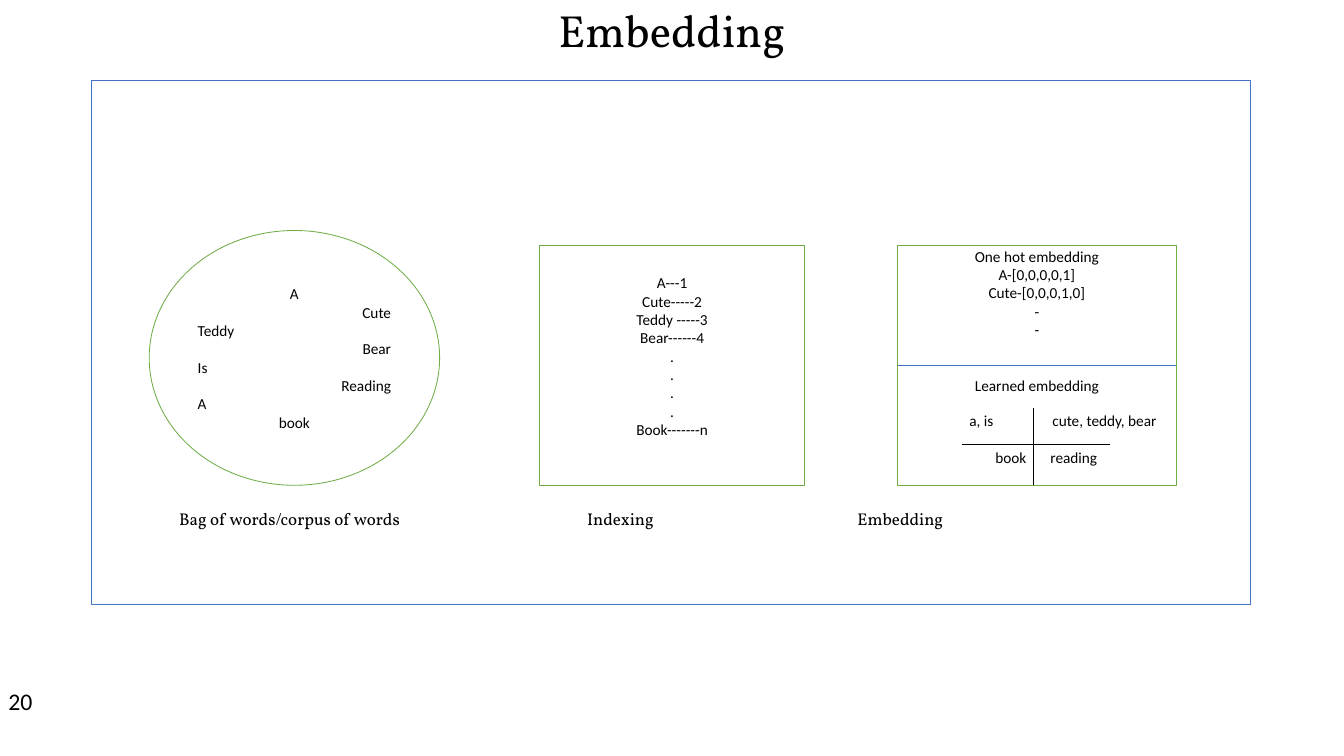
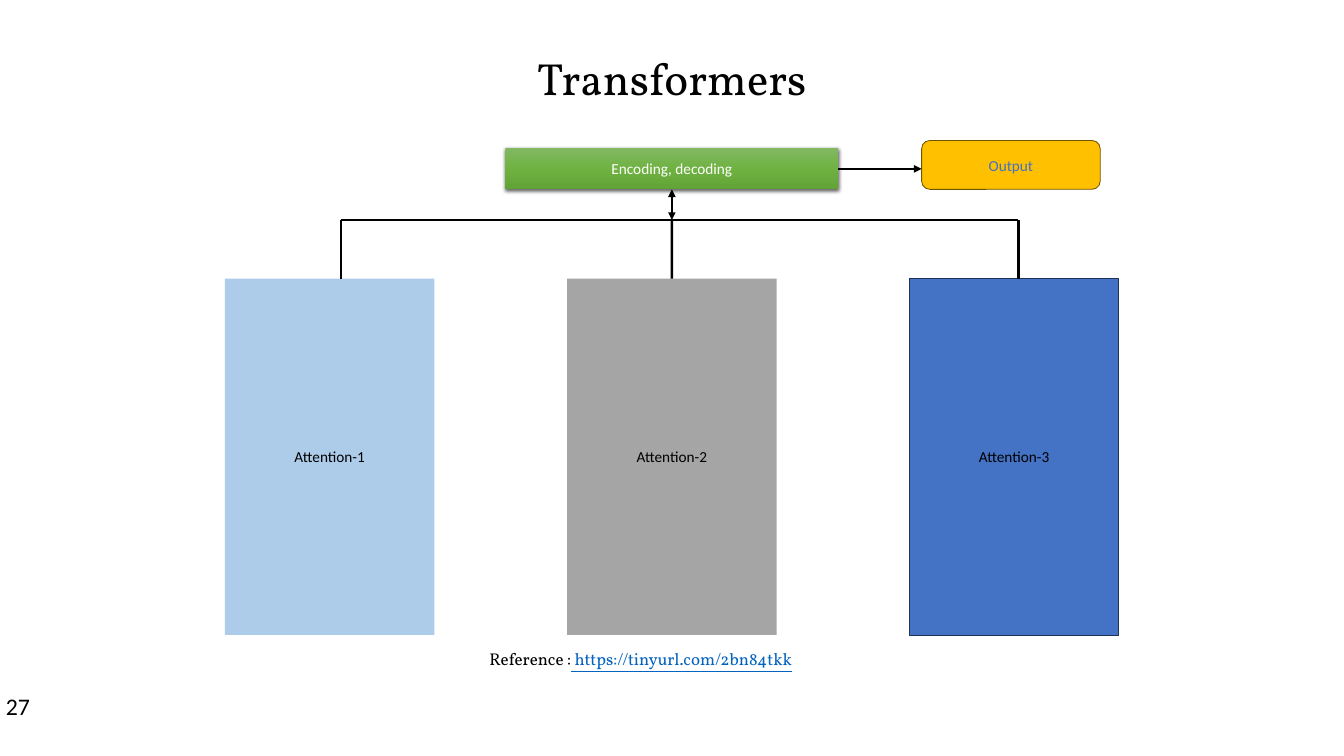
from pptx import Presentation
from pptx.util import Cm, Pt
from pptx.dml.color import RGBColor
from pptx.enum.shapes import MSO_SHAPE as Kind, MSO_CONNECTOR as Wire
from pptx.enum.text import PP_ALIGN as Al, MSO_ANCHOR as Anchor
from pptx.oxml import parse_xml
from pptx.oxml.ns import qn, nsdecls
from lxml.etree import SubElement as Sub

# Shared style
rgb = RGBColor.from_string
BLACK, WHITE, GREEN, BLUE = "000000", "FFFFFF", "70AD47", "4472C4"
SERIF = "Vollkorn"
TITLE = dict(size=53, font=SERIF, gap=0.9)
LABEL = dict(size=20, font=SERIF, align="l")
PAGE = dict(size=28, align="l", wrap=False)
SIDES = {"l": Al.LEFT, "c": Al.CENTER, "r": Al.RIGHT}


def put(slide, text, x, y, w, h, kind=None, fill=None, line=None, weight=1,
        size=18, font="Calibri", color=BLACK, align="c", gap=None,
        anchor=Anchor.MIDDLE, pad=(0.25, 0.13, 0.25, 0.13), wrap=True):
    """Add a shape, or a text box without kind; align has a letter per line."""
    box = Cm(x), Cm(y), Cm(w), Cm(h)
    if kind is None:
        shape = slide.shapes.add_textbox(*box)
    else:
        shape = slide.shapes.add_shape(kind, *box)
        shape.shadow.inherit = False
        for part, tint in ((shape.fill, fill), (shape.line.fill, line)):
            if tint:
                part.solid()
                part.fore_color.rgb = rgb(tint)
            else:
                part.background()
        if line:
            shape.line.width = Pt(weight)
    frame = shape.text_frame
    frame.word_wrap = wrap
    frame.vertical_anchor = anchor
    (frame.margin_left, frame.margin_top,
     frame.margin_right, frame.margin_bottom) = map(Cm, pad)
    frame.text = text
    for i, para in enumerate(frame.paragraphs):
        para.alignment = SIDES[align[i % len(align)]]
        para.line_spacing = gap
        para.font.size = Pt(size)
        para.font.name = font
        para.font.color.rgb = rgb(color)
    return shape


def join(slide, x1, y1, x2, y2, color=BLACK, weight=3, ends=()):
    """Add a straight line; ends may name headEnd and tailEnd arrows."""
    line = slide.shapes.add_connector(Wire.STRAIGHT, Cm(x1), Cm(y1), Cm(x2), Cm(y2))
    line.line.color.rgb = rgb(color)
    line.line.width = Pt(weight)
    props = line.element.spPr
    for end in ends:
        Sub(props.find(qn("a:ln")), qn("a:" + end), type="triangle")
    Sub(props, qn("a:effectLst"))
    return line


deck = Presentation()
deck.slide_width, deck.slide_height = Cm(55.85), Cm(31.42)
blank = deck.slide_layouts[6]

# Slide 1: title and frame
slide = deck.slides.add_slide(blank)
put(slide, "Embedding", 3.84, 0, 48.16, 2.76, **TITLE)
put(slide, "", 3.78, 3.33, 48.16, 21.79, Kind.RECTANGLE, line=BLUE, weight=0.75)

# Captions
for text, x, w in (("Bag of words/corpus of words", 7.44, 11),
                   ("Indexing", 24.4, 5), ("Embedding", 35.63, 5)):
    put(slide, text, x, 21, w, 1.14, pad=(0, 0, 0, 0), **LABEL)

# Bag of words, index and embedding boxes
panel = dict(fill=WHITE, line=GREEN)
put(slide, "A\nCute\nTeddy\nBear\nIs\nReading\nA\nbook", 6.2, 9.58, 12.07, 10.59,
    Kind.OVAL, align="crlrlrlc", **panel)
put(slide, "A---1\nCute-----2\nTeddy -----3\nBear------4\n.\n.\n.\n.\nBook-------n",
    22.43, 10.21, 11, 9.96, Kind.RECTANGLE, pad=(0.25, 0.13, 0.25, 0.9), **panel)
embed = put(slide, "One hot embedding\nA-[0,0,0,0,1]\nCute-[0,0,0,1,0]\n-\n-\n"
            "Learned embedding", 37.31, 10.21, 11.56, 9.96, Kind.RECTANGLE,
            anchor=Anchor.TOP, pad=(0.25, 0.05, 0.25, 0), **panel)
embed.text_frame.paragraphs[-1].space_before = Pt(44)

# Divider and quadrants of the learned embedding
split = join(slide, 37.31, 15.19, 48.87, 15.19, BLUE, 0.5)
split.begin_connect(embed, 1)
split.end_connect(embed, 3)
join(slide, 42.95, 16.97, 42.95, 20.14, weight=1.75)
join(slide, 39.98, 18.47, 46.13, 18.47, weight=2)
for text, x, y in (("a, is", 40.28, 17.1), ("cute, teddy, bear", 43.73, 17.1),
                   ("book", 41.36, 18.62), ("reading", 43.65, 18.62)):
    put(slide, text, x, y, 5, 0.78, align="l", pad=(0, 0, 0, 0))
put(slide, "20", 0.1, 28.4, 1.52, 1.45, **PAGE)

# Slide 2: title
slide = deck.slides.add_slide(blank)
put(slide, "Transformers", 3.84, 1.68, 48.16, 3.35, **TITLE)

# Attention columns
cols = []
for i, (fill, line) in enumerate((("5B9BD5", None), ("A5A5A5", None), (BLUE, "1E3256"))):
    cols.append(put(slide, f"Attention-{i + 1}", 9.35 + 14.22 * i, 11.58, 8.7, 14.81,
                    Kind.RECTANGLE, fill=fill, line=line))
tint = cols[0].element.spPr.find(qn("a:solidFill")).find(qn("a:srgbClr"))
Sub(tint, qn("a:alpha"), val="50000")

# Bus line with a drop to each column
left, mid, right, bus = 14.17, 27.92, 42.32, 9.14
join(slide, left, bus, right, bus)
for x in (left, mid, right):
    drop = join(slide, x, bus, x, 11.58)
    if x == mid:
        drop.end_connect(cols[1], 0)

# Encoder with gradient and shadow
coder = put(slide, "Encoding, decoding", 21, 6.17, 13.84, 1.7, Kind.RECTANGLE,
            fill=GREEN, color=WHITE)
props = coder.element.spPr
stops = "".join(f'<a:gs pos="{pos}"><a:srgbClr val="{tone}"/></a:gs>' for pos, tone in
                ((0, "81B861"), (50000, "6FB242"), (100000, "62A336")))
props.replace(props.find(qn("a:solidFill")), parse_xml(
    f'<a:gradFill {nsdecls("a")} rotWithShape="1"><a:gsLst>{stops}</a:gsLst>'
    '<a:lin ang="5400000" scaled="0"/></a:gradFill>'))
props.replace(props.find(qn("a:effectLst")), parse_xml(
    f'<a:effectLst {nsdecls("a")}><a:outerShdw blurRad="57150" dist="19050" '
    'dir="5400000" algn="ctr" rotWithShape="0"><a:srgbClr val="000000">'
    '<a:alpha val="63000"/></a:srgbClr></a:outerShdw></a:effectLst>'))

# Output and arrows
put(slide, "Output", 38.3, 5.84, 7.42, 2.03, Kind.ROUNDED_RECTANGLE,
    fill="FFC000", line="705400", color=BLUE)
join(slide, mid, bus, mid, 7.87, ends=("headEnd", "tailEnd")).end_connect(coder, 2)
join(slide, 34.84, 7.02, 38.3, 7.02, ends=("tailEnd",)).begin_connect(coder, 3)

# Reference and page number
ref = put(slide, "Reference :", 20.09, 26.82, 13.11, 1.12, **LABEL)
link = ref.text_frame.paragraphs[0].add_run()
link.text = " https://tinyurl.com/2bn84tkk"
link.font.color.rgb = rgb("0563C1")
link.font.underline = True
put(slide, "27", 0, 28.63, 1.52, 1.45, **PAGE)

deck.save("out.pptx")
